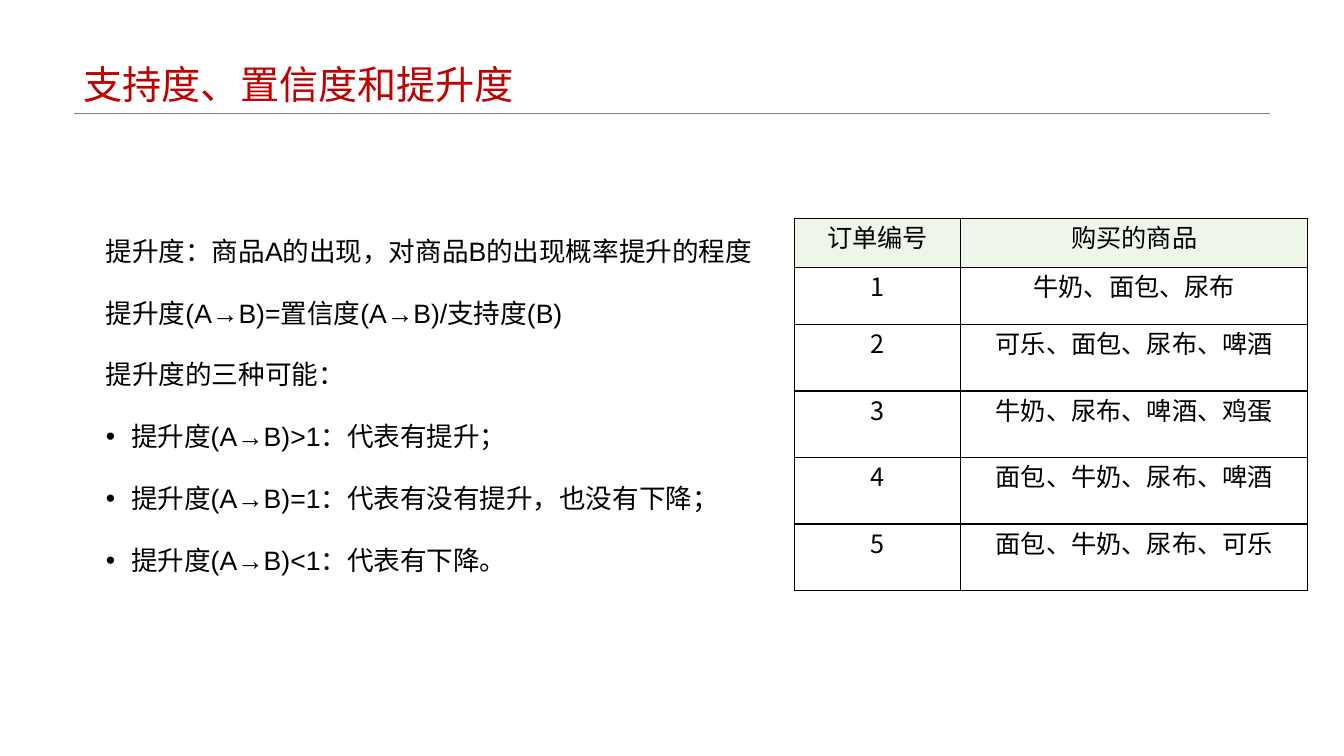
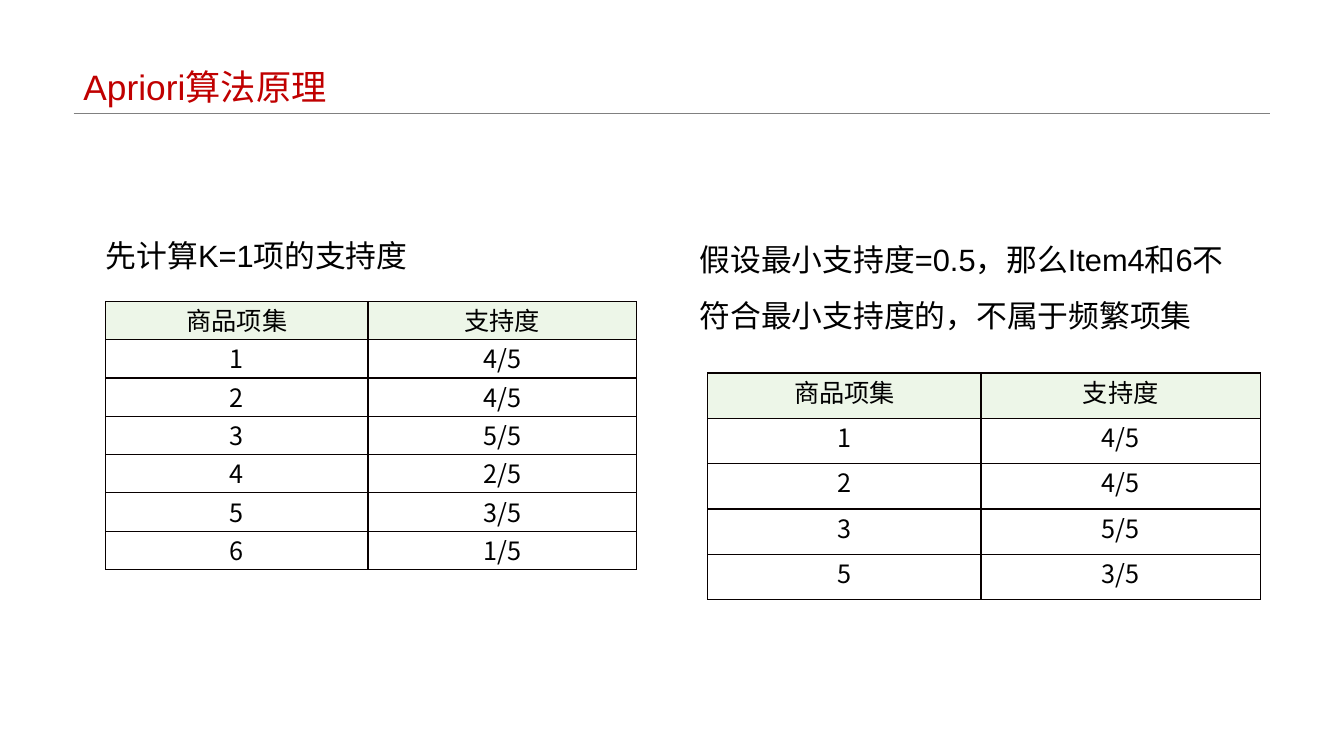
"""Build two slides on association rules: lift and the Apriori algorithm."""
from dataclasses import dataclass

from lxml import etree
from pptx import Presentation
from pptx.dml.color import RGBColor
from pptx.enum.shapes import MSO_CONNECTOR
from pptx.enum.text import MSO_ANCHOR, PP_ALIGN
from pptx.oxml.ns import qn
from pptx.presentation import Presentation as Deck
from pptx.slide import Slide
from pptx.table import _Cell
from pptx.text.text import Font, TextFrame, _Paragraph
from pptx.util import Emu, Pt

STRAIGHT = MSO_CONNECTOR.STRAIGHT
ANCHOR_TOP = MSO_ANCHOR.TOP
ANCHOR_BOTTOM = MSO_ANCHOR.BOTTOM
CENTER = PP_ALIGN.CENTER

EMU_PER_PX = 9144
RED = RGBColor(0xC0, 0x00, 0x00)
BLACK = RGBColor(0x00, 0x00, 0x00)
GRAY = RGBColor(0x80, 0x80, 0x80)
PALE_GREEN = RGBColor(0xED, 0xF6, 0xE8)
BORDER = RGBColor(0x08, 0x00, 0x00)
LATIN_FONT = "Arial"
CHINESE_FONT = "Noto Sans CJK SC"
TITLE_LEFT, TITLE_WIDTH, RULE_TOP = 73, 1187, 112
BULLET_INDENT = 25


@dataclass(frozen=True)
class Box:
    left: int
    top: int
    width: int
    height: int


@dataclass(frozen=True)
class BodyText:
    box: Box
    size: float
    lines: tuple[str, ...]
    bullets: tuple[str, ...] = ()


@dataclass(frozen=True)
class Grid:
    left: int
    top: int
    columns: tuple[int, ...]
    row_heights: tuple[int, ...]
    rows: tuple[tuple[str, ...], ...]


@dataclass(frozen=True)
class Page:
    title: str
    title_size: float
    texts: tuple[BodyText, ...]
    grids: tuple[Grid, ...]


SUPPORT_HEADER = ("商品项集", "支持度")
PAGES = (
    Page(
        "支持度、置信度和提升度",
        28,
        (
            BodyText(
                Box(100, 212, 663, 384),
                19,
                (
                    "提升度：商品A的出现，对商品B的出现概率提升的程度",
                    "提升度(A→B)=置信度(A→B)/支持度(B)",
                    "提升度的三种可能：",
                ),
                (
                    "提升度(A→B)>1：代表有提升；",
                    "提升度(A→B)=1：代表有没有提升，也没有下降；",
                    "提升度(A→B)<1：代表有下降。",
                ),
            ),
        ),
        (
            Grid(
                788,
                217,
                (165, 344),
                (48, 57) + (66,) * 4,
                (
                    ("订单编号", "购买的商品"),
                    ("1", "牛奶、面包、尿布"),
                    ("2", "可乐、面包、尿布、啤酒"),
                    ("3", "牛奶、尿布、啤酒、鸡蛋"),
                    ("4", "面包、牛奶、尿布、啤酒"),
                    ("5", "面包、牛奶、尿布、可乐"),
                ),
            ),
        ),
    ),
    Page(
        "Apriori算法原理",
        25.2,
        (
            BodyText(Box(100, 212, 582, 384), 22, ("先计算K=1项的支持度",)),
            BodyText(
                Box(689, 216, 540, 384),
                22,
                ("假设最小支持度=0.5，那么Item4和6不符合最小支持度的，不属于频繁项集",),
            ),
        ),
        (
            Grid(
                105,
                299,
                (260, 266),
                (38,) * 7,
                (
                    SUPPORT_HEADER,
                    ("1", "4/5"),
                    ("2", "4/5"),
                    ("3", "5/5"),
                    ("4", "2/5"),
                    ("5", "3/5"),
                    ("6", "1/5"),
                ),
            ),
            Grid(
                702,
                370,
                (271, 277),
                (45,) * 5,
                (
                    SUPPORT_HEADER,
                    ("1", "4/5"),
                    ("2", "4/5"),
                    ("3", "5/5"),
                    ("5", "3/5"),
                ),
            ),
        ),
    ),
)


def px(length: int) -> Emu:
    """Turn px into EMU."""
    return Emu(length * EMU_PER_PX)


def style_font(font: Font, name: str, size: float, color: RGBColor) -> None:
    """Set the Latin and East Asian typefaces, size and colour."""
    font.name = name
    font.size = Pt(size)
    font.color.rgb = color
    east_asian = etree.Element(qn("a:ea"), typeface=CHINESE_FONT)
    font._element.find(qn("a:latin")).addnext(east_asian)


def style_runs(paragraph: _Paragraph, name: str, size: float, color: RGBColor) -> None:
    """Format every run of a paragraph."""
    for run in paragraph.runs:
        style_font(run.font, name, size, color)


def add_text_frame(slide: Slide, box: Box, side: int) -> TextFrame:
    """Add a wrapping text box with the given side margins."""
    shape = slide.shapes.add_textbox(*map(px, (box.left, box.top, box.width, box.height)))
    text_frame = shape.text_frame
    text_frame.word_wrap = True
    text_frame.margin_left = text_frame.margin_right = px(side)
    text_frame.margin_top = text_frame.margin_bottom = px(5)
    return text_frame


def add_title(slide: Slide, title: str, size: float) -> None:
    """Draw the title and the rule beneath it."""
    rule = slide.shapes.add_connector(
        STRAIGHT, px(TITLE_LEFT), px(RULE_TOP), px(TITLE_LEFT + TITLE_WIDTH), px(RULE_TOP)
    )
    rule.line.color.rgb = GRAY
    rule.line.width = Pt(0.25)
    etree.SubElement(rule._element.spPr, qn("a:effectLst"))
    text_frame = add_text_frame(slide, Box(TITLE_LEFT, 0, TITLE_WIDTH, RULE_TOP), 10)
    text_frame.vertical_anchor = ANCHOR_BOTTOM
    text_frame.text = title
    paragraph = text_frame.paragraphs[0]
    paragraph.line_spacing = 0.9
    style_runs(paragraph, LATIN_FONT, size, RED)


def add_bullet(paragraph: _Paragraph) -> None:
    """Give a paragraph a hanging bullet."""
    properties = paragraph._p.get_or_add_pPr()
    properties.set("marL", str(px(BULLET_INDENT)))
    properties.set("indent", str(-px(BULLET_INDENT)))
    etree.SubElement(properties, qn("a:buFont"), typeface=LATIN_FONT)
    etree.SubElement(properties, qn("a:buChar"), char="•")


def add_body(slide: Slide, body: BodyText) -> None:
    """Draw plain lines followed by bulleted lines."""
    text_frame = add_text_frame(slide, body.box, 5)
    text_frame.text = "\n".join(body.lines + body.bullets)
    for index, paragraph in enumerate(text_frame.paragraphs):
        paragraph.line_spacing = 1.5
        paragraph.space_before = Pt(10)
        style_runs(paragraph, LATIN_FONT, body.size, BLACK)
        if index >= len(body.lines):
            add_bullet(paragraph)


def add_borders(cell: _Cell) -> None:
    """Outline the four sides of a cell."""
    properties = cell._tc.get_or_add_tcPr()
    for index, side in enumerate(("a:lnL", "a:lnR", "a:lnT", "a:lnB")):
        line = etree.Element(qn(side), w=str(Pt(1)))
        fill = etree.SubElement(line, qn("a:solidFill"))
        etree.SubElement(fill, qn("a:srgbClr"), val=str(BORDER))
        properties.insert(index, line)


def fill_cell(cell: _Cell, text: str, is_header: bool) -> None:
    """Write and style one table cell."""
    cell.text_frame.text = text
    cell.margin_left = cell.margin_right = px(1)
    cell.margin_top = cell.margin_bottom = px(0)
    cell.vertical_anchor = ANCHOR_TOP
    paragraph = cell.text_frame.paragraphs[0]
    paragraph.alignment = CENTER
    style_runs(paragraph, CHINESE_FONT, 18, BLACK)
    if is_header:
        cell.fill.solid()
        cell.fill.fore_color.rgb = PALE_GREEN
    else:
        cell.fill.background()
    add_borders(cell)


def add_grid(slide: Slide, grid: Grid) -> None:
    """Draw a bordered table with a tinted header row."""
    table = slide.shapes.add_table(
        len(grid.rows),
        len(grid.columns),
        px(grid.left),
        px(grid.top),
        px(sum(grid.columns)),
        px(sum(grid.row_heights)),
    ).table
    table.first_row = table.horz_banding = False
    for column, width in zip(table.columns, grid.columns):
        column.width = px(width)
    for row_index, (row, height) in enumerate(zip(table.rows, grid.row_heights)):
        row.height = px(height)
        for cell, text in zip(row.cells, grid.rows[row_index]):
            fill_cell(cell, text, row_index == 0)


def add_page(presentation: Deck, page: Page) -> None:
    """Add one slide with its title, texts and tables."""
    slide = presentation.slides.add_slide(presentation.slide_layouts[6])
    add_title(slide, page.title, page.title_size)
    for body in page.texts:
        add_body(slide, body)
    for grid in page.grids:
        add_grid(slide, grid)


def main() -> None:
    """Build and save the presentation."""
    presentation = Presentation()
    presentation.slide_width = px(1333)
    presentation.slide_height = px(750)
    for page in PAGES:
        add_page(presentation, page)
    presentation.save("out.pptx")


if __name__ == "__main__":
    main()
